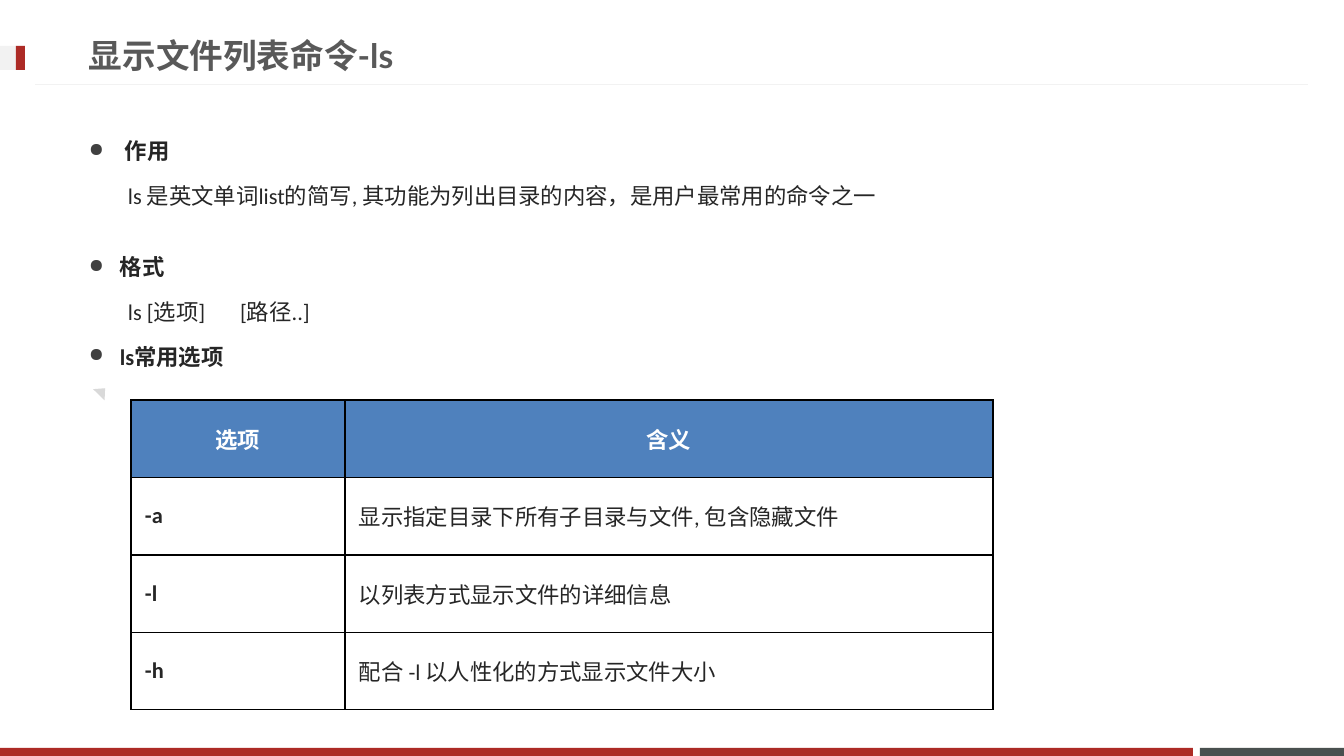
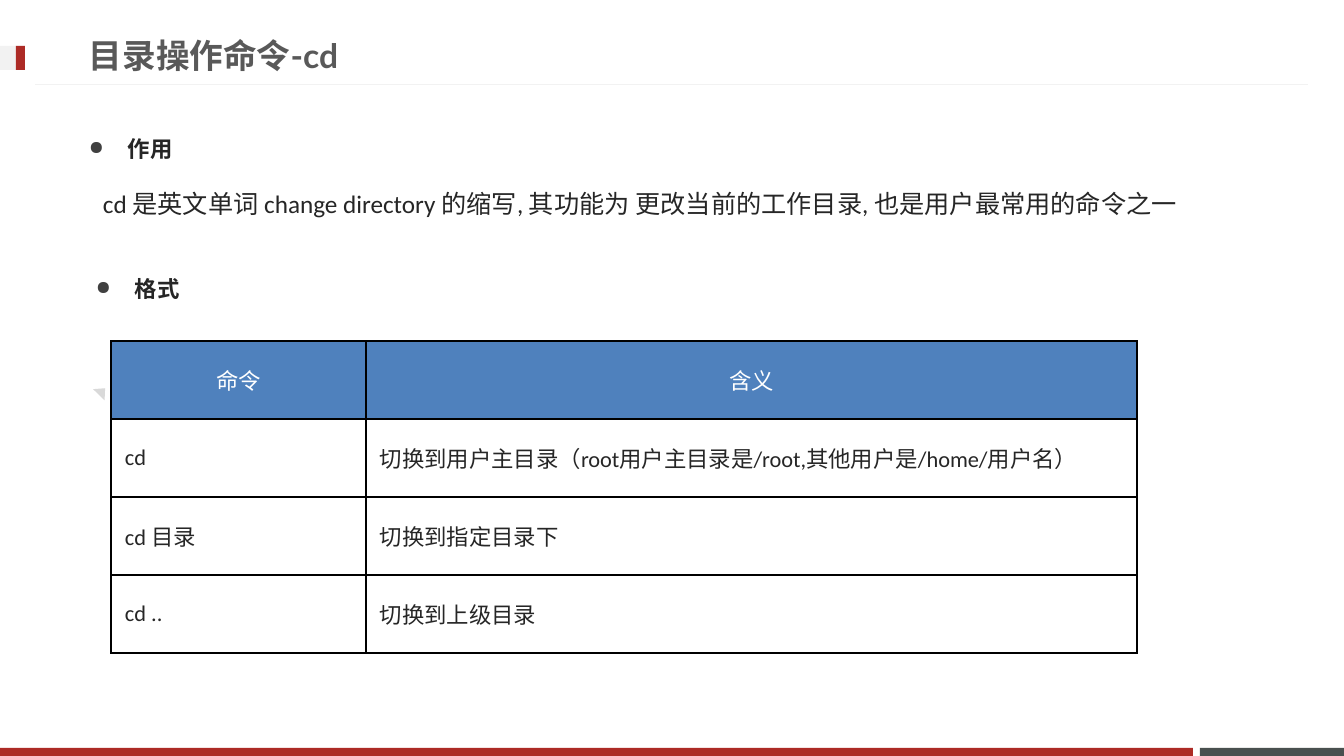
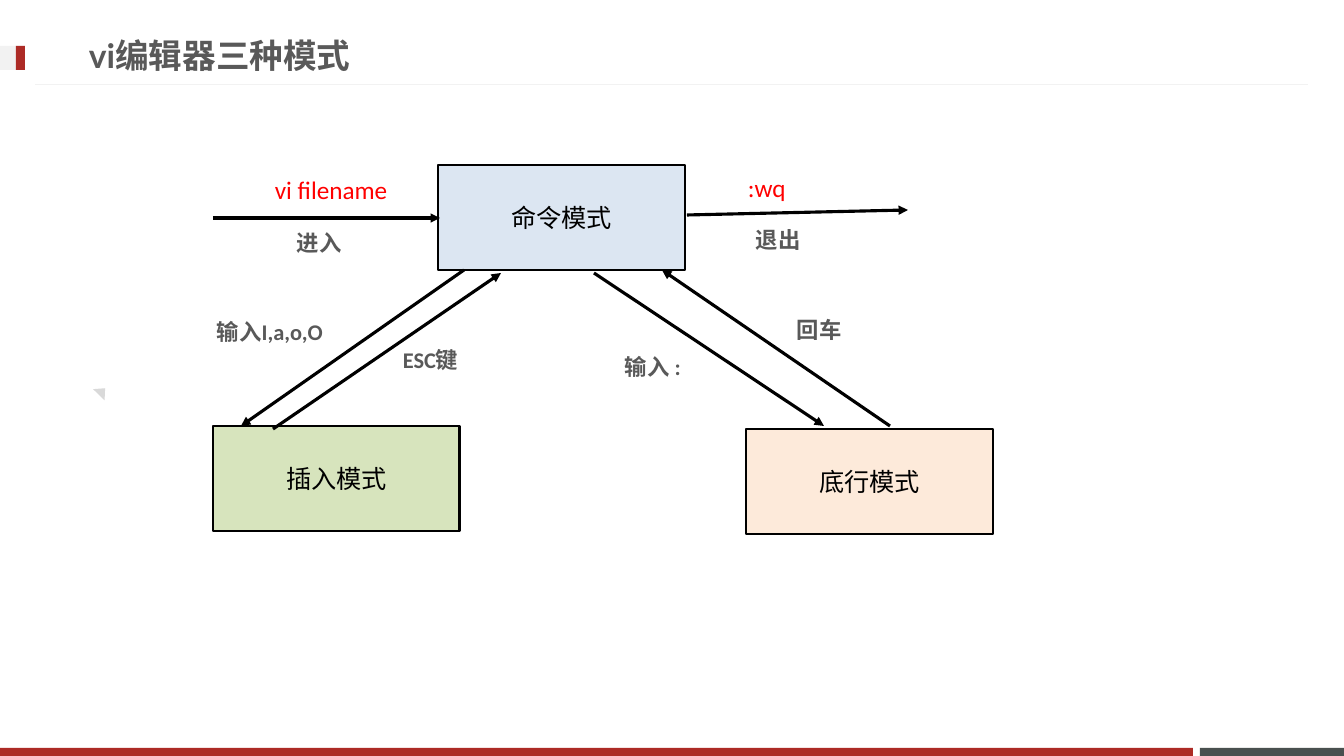
from dataclasses import dataclass

from lxml import etree
from pptx import Presentation, util as u
from pptx.dml.color import RGBColor
from pptx.enum import shapes as sh, text as tx
from pptx.oxml import ns


@dataclass(frozen=True)
class Theme:
    red: str = "AD2B26"
    slate: str = "49504F"
    pale: str = "F2F2F2"
    mark: str = "D9D9D9"
    gray: str = "595959"
    ink: str = "262626"
    dot: str = "404040"
    black: str = "000000"
    white: str = "FFFFFF"
    head: str = "4F81BD"
    alert: str = "FF0000"
    blue: str = "DCE6F2"
    green: str = "D7E4BD"
    peach: str = "FDEADA"
    title: int = 24
    large: int = 18
    body: int = 16
    face: str = "Calibri"
    top: str = "Lato"


T = Theme()
WIDE, HIGH = 1344, 756
RECT = sh.MSO_SHAPE.RECTANGLE
MID = tx.PP_ALIGN.CENTER

BANDS = [
    ((1200, 748, 144, 8), T.slate),
    ((0, 748, 1193, 8), T.red),
    ((0, 46, 25, 24), T.pale),
    ((16, 46, 9, 24), T.red),
]

LIST = {
    "title": "显示文件列表命令-ls",
    "notes": [
        ((79, 119, 1215, 93), T.body, [
            ("作用", 36, 0),
            ("ls 是英文单词list的简写, 其功能为列出目录的内容，是用户最常用的命令之一", 0, 39),
        ]),
        ((79, 235, 672, 144), T.body, [
            ("格式", 31, 0),
            ("ls [选项]\t[路径..]", 0, 39),
            ("ls常用选项", 31, 0),
        ]),
    ],
    "grid": {
        "box": (131, 400, 862, 310), "cols": (214, 648), "gap": 3.6, "bold": True,
        "rows": [
            ("选项", "含义"),
            ("-a", "显示指定目录下所有子目录与文件, 包含隐藏文件"),
            ("-l", "以列表方式显示文件的详细信息"),
            ("-h", "配合 -l 以人性化的方式显示文件大小"),
        ],
    },
}

MOVE = {
    "title": "目录操作命令-cd",
    "notes": [
        ((79, 117, 672, 46), T.body, [("作用", 39, 0)]),
        ((93, 168, 1167, 51), T.large, [
            ("cd 是英文单词 change directory 的缩写, 其功能为 更改当前的工作目录, 也是用户最常用的命令之一", 0, 0),
        ]),
        ((86, 257, 672, 46), T.body, [("格式", 39, 0)]),
    ],
    "grid": {
        "box": (111, 341, 1026, 312), "cols": (255, 771), "gap": 1.5, "bold": False,
        "rows": [
            ("命令", "含义"),
            ("cd", "切换到用户主目录（root用户主目录是/root,其他用户是/home/用户名）"),
            ("cd 目录", "切换到指定目录下"),
            ("cd ..", "切换到上级目录"),
        ],
    },
}

MODES = {
    "title": "vi编辑器三种模式",
    "nodes": [
        ("命令模式", 438, 165, T.blue),
        ("插入模式", 213, 426, T.green),
        ("底行模式", 746, 429, T.peach),
    ],
    "links": [
        (213, 218, 440, 218),
        (464, 270, 241, 426),
        (273, 429, 501, 273),
        (594, 273, 824, 426),
        (890, 426, 662, 270),
        (687, 215, 908, 210),
    ],
    "calls": [("vi filename", 265, 169), (":wq", 738, 167)],
    "tags": [
        ("进入", 287, 224),
        ("退出", 746, 221),
        ("输入I,a,o,O", 207, 313),
        ("ESC键", 393, 341),
        ("输入 :", 615, 348),
        ("回车", 787, 311),
    ],
}


def px(n):
    return u.Emu(round(n * 914400 / 100.8))


def rgb(code):
    return RGBColor.from_string(code)


def sub(node, tag, **attrs):
    return etree.SubElement(node, ns.qn(tag), attrs)


def style(para, size, color, bold=False, face=T.face):
    for run in para.runs:
        font = run.font
        font.size, font.bold, font.name = u.Pt(size), bold, face
        font.color.rgb = rgb(color)


def block(slide, box, fill, kind=RECT, edge=None):
    shape = slide.shapes.add_shape(kind, *map(px, box))
    shape.shadow.inherit = False
    shape.fill.solid()
    shape.fill.fore_color.rgb = rgb(fill)
    if edge:
        shape.line.color.rgb = rgb(edge)
        shape.line.width = u.Pt(2)
    else:
        shape.line.fill.background()
    return shape


def wire(slide, ends, color, width, arrow=False):
    line = slide.shapes.add_connector(sh.MSO_CONNECTOR.STRAIGHT, *map(px, ends))
    line.line.color.rgb = rgb(color)
    line.line.width = u.Pt(width)
    if arrow:
        sub(line.line._get_or_add_ln(), "a:tailEnd", type="triangle")
    sub(line._element.spPr, "a:effectLst")


def label(slide, box, words, size, color, bold=False, face=T.face):
    frame = slide.shapes.add_textbox(*map(px, box)).text_frame
    frame.word_wrap = True
    frame.text = words
    style(frame.paragraphs[0], size, color, bold, face)
    return frame


def note(slide, box, size, lines):
    frame = label(slide, box, "\n".join(line[0] for line in lines), size, T.ink)
    for para, (words, hang, inset) in zip(frame.paragraphs, lines):
        style(para, size, T.ink, hang > 0)
        para.line_spacing = 1.5
        para.space_before = u.Pt(size / 5)
        props = para._p.get_or_add_pPr()
        props.set("marL", str(px(hang)))
        props.set("indent", str(px(inset - hang)))
        if hang:
            sub(sub(props, "a:buClr"), "a:srgbClr", val=T.dot)
            sub(props, "a:buSzPct", val="85000")
            sub(props, "a:buChar", char="●")
        if "\t" in words:
            sub(sub(props, "a:tabLst"), "a:tab", pos=str(px(143)), algn="l")


def border(cell):
    props = cell._tc.get_or_add_tcPr()
    for side in "LRTB":
        line = sub(props, "a:ln" + side, w=str(u.Pt(1)))
        sub(sub(line, "a:solidFill"), "a:srgbClr", val=T.black)


def grid(slide, box, cols, gap, bold, rows):
    table = slide.shapes.add_table(len(rows), len(cols), *map(px, box)).table
    for col, width in zip(table.columns, cols):
        col.width = px(width)
    for r, row in enumerate(rows):
        table.rows[r].height = px(box[3] / len(rows))
        for c, words in enumerate(row):
            cell = table.cell(r, c)
            border(cell)
            cell.fill.solid()
            cell.fill.fore_color.rgb = rgb(T.white if r else T.head)
            cell.margin_left = cell.margin_right = px(14)
            cell.margin_top = cell.margin_bottom = px(6)
            cell.vertical_anchor = tx.MSO_ANCHOR.MIDDLE
            cell.text = words
            para = cell.text_frame.paragraphs[0]
            para.space_before = para.space_after = u.Pt(gap)
            if r == 0:
                para.alignment = MID
            style(para, T.body, T.ink if r else T.white, bold and 0 in (r, c))


def start(deck, title):
    slide = deck.slides.add_slide(deck.slide_layouts[6])
    for box, fill in BANDS:
        block(slide, box, fill)
    wire(slide, (1308, 85, 35, 85), T.pale, 0.75)
    frame = label(slide, (79, 27, 967, 57), title, T.title, T.gray, True, T.top)
    frame.vertical_anchor = tx.MSO_ANCHOR.MIDDLE
    mark = block(slide, (94, 387, 16, 9), T.mark, sh.MSO_SHAPE.ISOSCELES_TRIANGLE)
    mark.rotation = 44.2
    return slide


def manual(deck, page):
    slide = start(deck, page["title"])
    for box, size, lines in page["notes"]:
        note(slide, box, size, lines)
    grid(slide, **page["grid"])


def diagram(deck, page):
    slide = start(deck, page["title"])
    for words, x, y, fill in page["nodes"]:
        frame = block(slide, (x, y, 247, 105), fill, edge=T.black).text_frame
        frame.text = words
        frame.vertical_anchor = tx.MSO_ANCHOR.MIDDLE
        frame.paragraphs[0].alignment = MID
        style(frame.paragraphs[0], T.large, T.black)
    for ends in page["links"]:
        wire(slide, ends, T.black, 2.25, True)
    for words, x, y in page["calls"]:
        label(slide, (x, y, 157, 40), words, T.large, T.alert)
    for words, x, y in page["tags"]:
        label(slide, (x, y, 141, 37), words, T.body, T.gray, True)


def main():
    deck = Presentation()
    deck.slide_width, deck.slide_height = px(WIDE), px(HIGH)
    manual(deck, LIST)
    manual(deck, MOVE)
    diagram(deck, MODES)
    deck.save("out.pptx")


if __name__ == "__main__":
    main()
